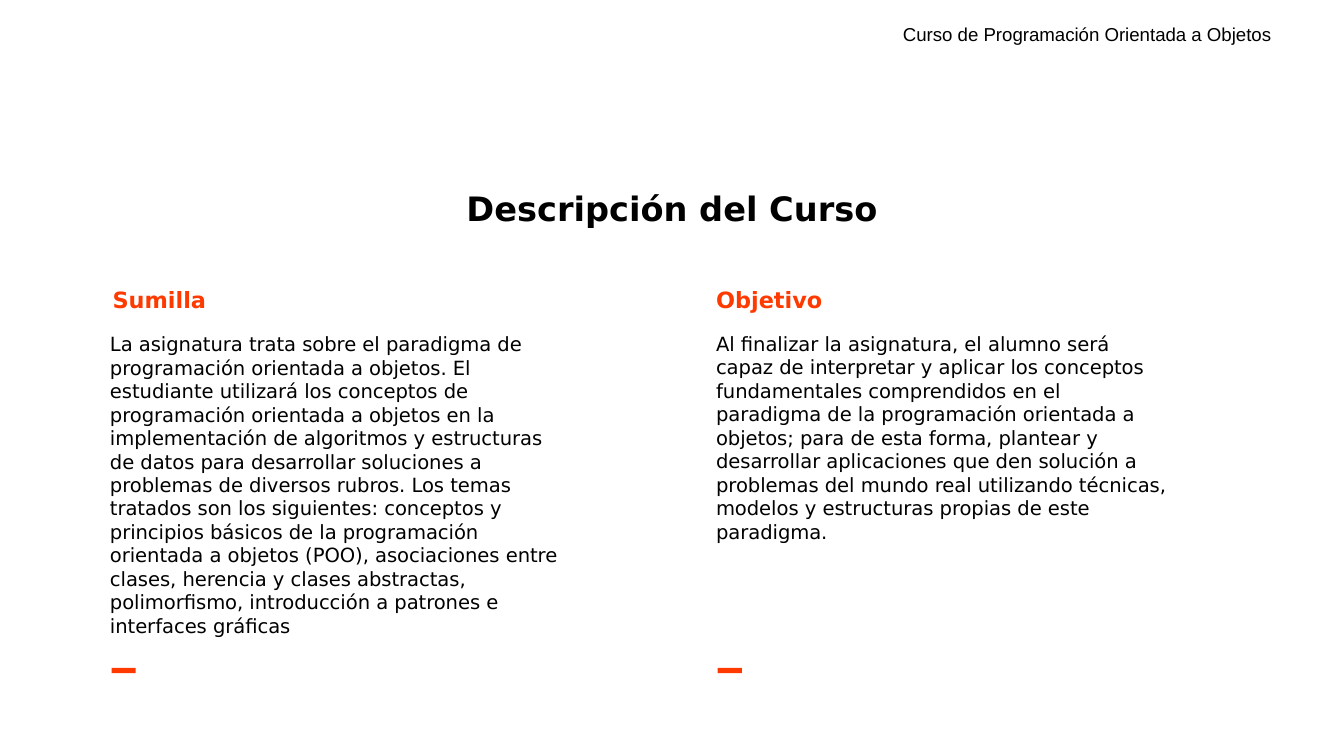
"""Build the course description slide with its summary and objective columns."""
from pptx import Presentation
from pptx.dml.color import RGBColor
from pptx.enum.shapes import MSO_SHAPE
from pptx.enum.text import MSO_ANCHOR, PP_ALIGN
from pptx.util import Inches, Pt

BLACK = RGBColor(0x00, 0x00, 0x00)
WHITE = RGBColor(0xFF, 0xFF, 0xFF)
ORANGE = RGBColor(0xFF, 0x3A, 0x00)

BODY_FONT = "DejaVu Sans"
TITLE_FORMAT = {"name": BODY_FONT, "size": Pt(18), "bold": True}
HEADING_FORMAT = {"name": BODY_FONT, "size": Pt(12), "bold": True}
BODY_FORMAT = {"name": BODY_FONT, "size": Pt(10.5)}
HEADER_FORMAT = {"name": "Arial", "size": Pt(10)}

SUMMARY = (
    "La asignatura trata sobre el paradigma de programación orientada a objetos. "
    "El estudiante utilizará los conceptos de programación orientada a objetos en la "
    "implementación de algoritmos y estructuras de datos para desarrollar soluciones a "
    "problemas de diversos rubros. Los temas tratados son los siguientes: conceptos y "
    "principios básicos de la programación orientada a objetos (POO), asociaciones entre "
    "clases, herencia y clases abstractas, polimorfismo, introducción a patrones e "
    "interfaces gráficas"
)
OBJECTIVE = (
    "Al finalizar la asignatura, el alumno será capaz de interpretar y aplicar los "
    "conceptos fundamentales comprendidos en el paradigma de la programación orientada a "
    "objetos; para de esta forma, plantear y desarrollar aplicaciones que den solución a "
    "problemas del mundo real utilizando técnicas, modelos y estructuras propias de este "
    "paradigma."
)

COLUMN_WIDTH = 3.56
COLUMNS = [
    {"heading": "Sumilla", "body": SUMMARY, "left": 0.74, "body_left": 0.72,
     "dash_left": 0.83, "height": 1.41},
    {"heading": "Objetivo", "body": OBJECTIVE, "left": 5.23, "body_left": 5.23,
     "dash_left": 5.34, "height": 1.97},
]


class CourseSlide:
    """Hold the text style and the slide that elements are added to."""

    def __init__(self, slide, inset=0.1):
        self.slide = slide
        self.inset = Inches(inset)
        fill = slide.background.fill
        fill.solid()
        fill.fore_color.rgb = WHITE

    def add_text(self, text, box, font_format, color=BLACK, anchor=MSO_ANCHOR.TOP,
                 alignment=PP_ALIGN.LEFT, vertical_inset=0.1):
        """Add a wrapped text box."""
        shape = self.slide.shapes.add_textbox(*map(Inches, box))
        frame_format = {
            "word_wrap": True,
            "vertical_anchor": anchor,
            "margin_left": self.inset,
            "margin_right": self.inset,
            "margin_top": Inches(vertical_inset),
            "margin_bottom": Inches(vertical_inset),
        }
        for name, value in frame_format.items():
            setattr(shape.text_frame, name, value)
        paragraph = shape.text_frame.paragraphs[0]
        paragraph.alignment = alignment
        run = paragraph.add_run()
        run.text = text
        for name, value in font_format.items():
            setattr(run.font, name, value)
        run.font.color.rgb = color

    def add_dash(self, left, top):
        """Add a small accent bar."""
        box = (left, top, 0.18, 0.04)
        shape = self.slide.shapes.add_shape(MSO_SHAPE.RECTANGLE, *map(Inches, box))
        shape.shadow.inherit = False
        shape.fill.solid()
        shape.fill.fore_color.rgb = ORANGE
        shape.line.fill.background()

    def add_column(self, heading, body, left, body_left, dash_left, height):
        """Add a heading with its body text and accent bar."""
        self.add_text(heading, (left, 1.92, COLUMN_WIDTH, 0.51), HEADING_FORMAT,
                      color=ORANGE, anchor=MSO_ANCHOR.BOTTOM)
        self.add_text(body, (body_left, 2.37, COLUMN_WIDTH, height), BODY_FORMAT)
        self.add_dash(dash_left, 4.97)


def main():
    presentation = Presentation()
    presentation.slide_width = Inches(10)
    presentation.slide_height = Inches(10 * 9 / 16)
    slide = presentation.slides.add_slide(presentation.slide_layouts[6])
    course = CourseSlide(slide)
    course.add_text("Descripción del Curso", (0.34, 1.3, 9.32, 0.63), TITLE_FORMAT,
                    alignment=PP_ALIGN.CENTER)
    for column in COLUMNS:
        course.add_column(**column)
    course.add_text("Curso de Programación Orientada a Objetos", (6.62, 0.12, 3.13, 0.27),
                    HEADER_FORMAT, vertical_inset=0.05)
    presentation.save("out.pptx")


if __name__ == "__main__":
    main()
